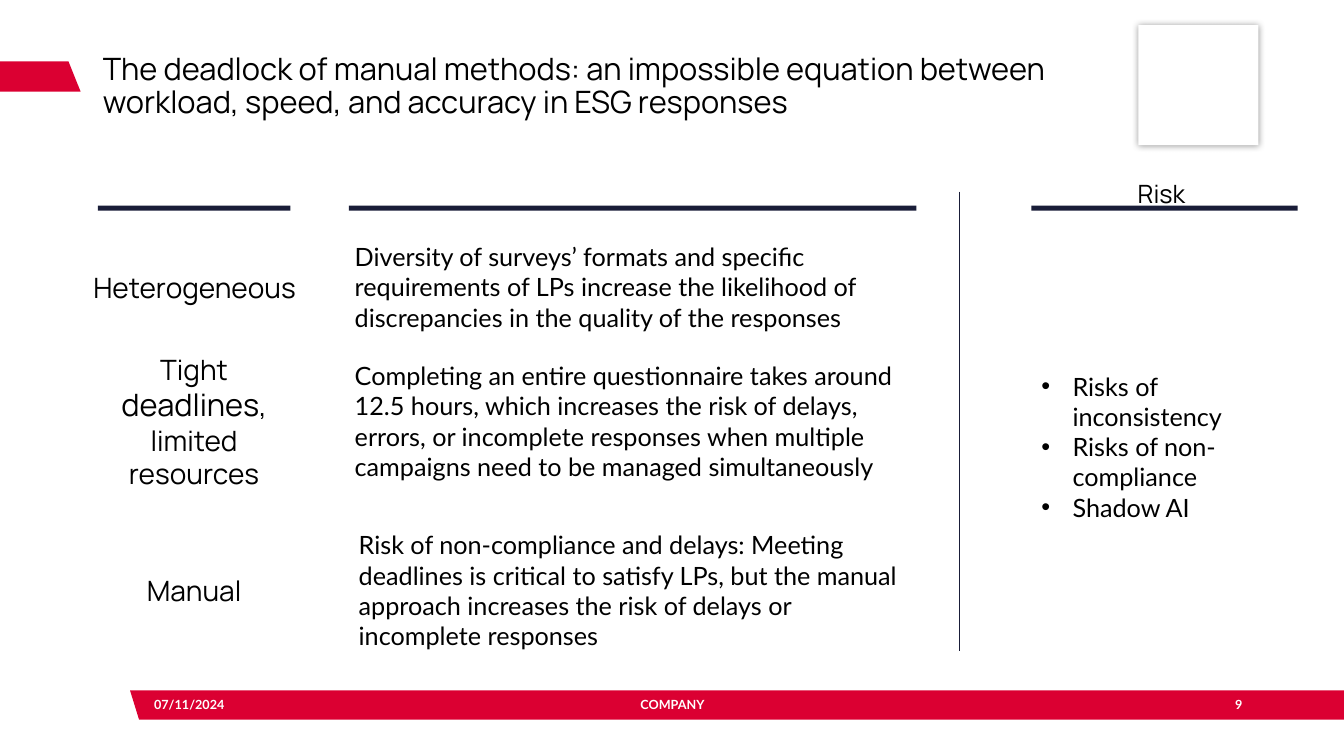
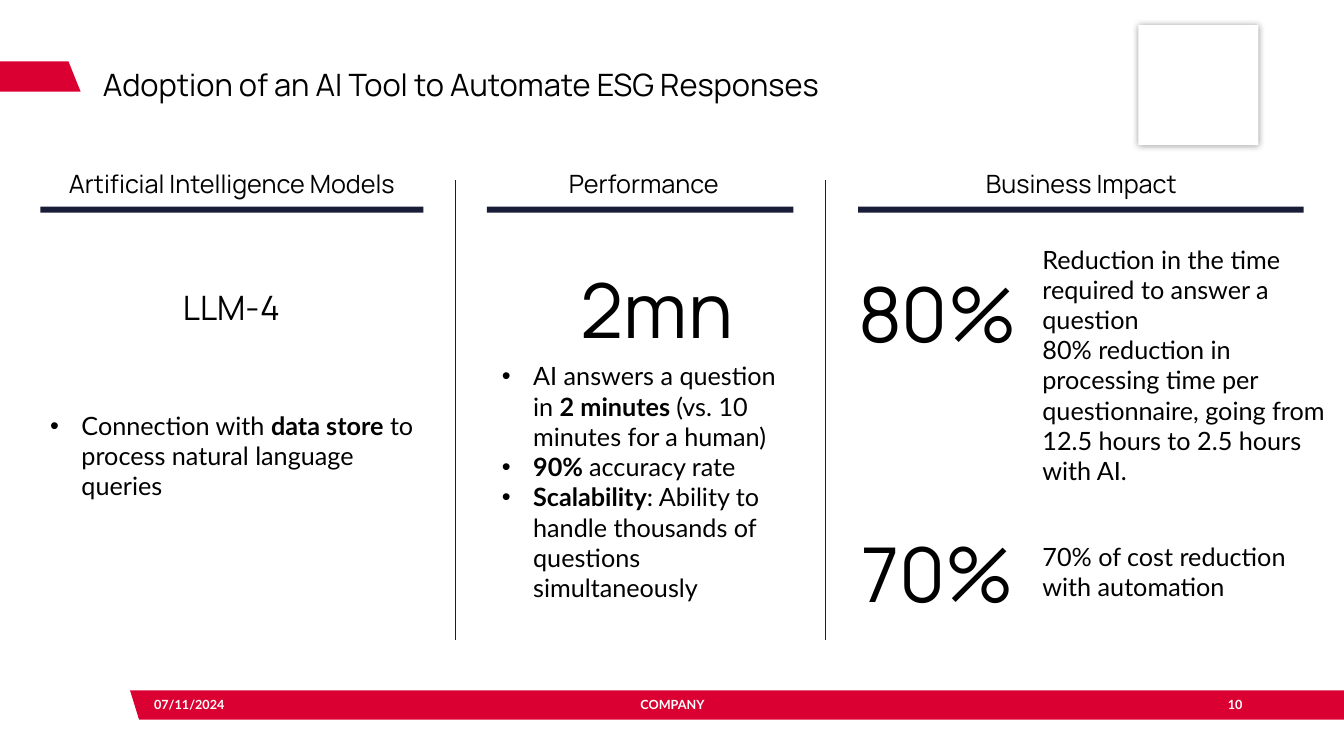
from lxml import etree
from pptx import Presentation
from pptx.dml.color import RGBColor
from pptx.enum.shapes import MSO_CONNECTOR, MSO_SHAPE
from pptx.enum.text import MSO_ANCHOR, MSO_AUTO_SIZE, PP_ALIGN
from pptx.oxml import parse_xml
from pptx.oxml.ns import nsdecls, qn
from pptx.util import Pt

RECTANGLE = MSO_SHAPE.RECTANGLE
STRAIGHT = MSO_CONNECTOR.STRAIGHT
TOP, MIDDLE = MSO_ANCHOR.TOP, MSO_ANCHOR.MIDDLE
LEFT, CENTER, RIGHT = PP_ALIGN.LEFT, PP_ALIGN.CENTER, PP_ALIGN.RIGHT

RED = RGBColor(0xDB, 0x00, 0x32)
NAVY = RGBColor(0x19, 0x1D, 0x38)
BLACK = RGBColor(0x00, 0x00, 0x00)
WHITE = RGBColor(0xFF, 0xFF, 0xFF)

HEADING_FONT, BODY_FONT = "Manrope", "Lato"
PX = 9144
SLIDE_W, SLIDE_H = 1333, 750
BOLD = {"bold": True}

TITLE_BOX = (92, 58, 1026, 56)
TITLE_TAB = [(0, 61), (68, 61), (80, 91), (0, 91)]
FOOTER_BAND = [(129, 685), (SLIDE_W, 685), (SLIDE_W, 714), (138, 714)]
LOGO_BOX = (1129, 25, 119, 119)
FOOTER_Y, FOOTER_H = 679, 40
FOOTER_DATE, FOOTER_COMPANY = "07/11/2024", "COMPANY"

DEADLOCK = {
    "title": "The deadlock of manual methods: an impossible equation between "
             "workload, speed, and accuracy in ESG responses",
    "page": 9,
    "rules": [(97, 191), (346, 563), (1023, 264)],
    "rule_y": 204,
    "rule_h": 5,
    "dividers": [952],
    "divider_y": 190,
    "headings": [("Risk", (1023, 180, 258, 24))],
    "labels": [
        (["Heterogeneous"], (72, 263, 242, 44), 20),
        (["Tight ", ("deadlines", {"size": Pt(22)}), ", limited resources"],
         (97, 344, 191, 148), 20),
        (["Manual"], (97, 564, 191, 44), 20),
    ],
    "bodies": [
        ([["Diversity of surveys’ formats and specific requirements of LPs "
           "increase the likelihood of discrepancies in the quality of the "
           "responses"]], (342, 234, 563, 101), MIDDLE),
        ([["Completing an entire questionnaire takes around 12.5 hours, which "
           "increases the risk of delays, errors, or incomplete responses when "
           "multiple campaigns need to be managed simultaneously"]],
         (342, 352, 563, 131), MIDDLE),
        ([["Risk of non-compliance and delays: Meeting deadlines is critical "
           "to satisfy LPs, but the manual approach increases the risk of "
           "delays or incomplete responses"]], (346, 520, 563, 131), MIDDLE),
    ],
    "bullets": [
        ([["Risks of inconsistency"], ["Risks of non-compliance"],
          ["Shadow AI"]], (1023, 245, 264, 396), MIDDLE),
    ],
}

ADOPTION = {
    "title": "Adoption of an AI Tool to Automate ESG Responses",
    "page": 10,
    "rules": [(40, 380), (483, 304), (851, 442)],
    "rule_y": 205,
    "rule_h": 6,
    "dividers": [452, 819],
    "divider_y": 179,
    "headings": [
        ("Artificial Intelligence Models", (40, 162, 380, 40)),
        ("Performance", (468, 162, 341, 40)),
        ("Business Impact", (902, 162, 341, 40)),
    ],
    "labels": [
        (["LLM-4"], (104, 280, 251, 50), 24),
        (["2mn"], (556, 255, 191, 101), 54),
        (["80%"], (834, 259, 191, 101), 54),
        (["70%"], (834, 517, 191, 101), 54),
    ],
    "bodies": [
        ([["Reduction in the time required to answer a question"],
          ["80% reduction in processing time per questionnaire, going from "
           "12.5 hours to 2.5 hours with AI."]], (1024, 237, 302, 144), TOP),
        ([["70% of cost reduction with automation"]],
         (1024, 519, 302, 96), MIDDLE),
    ],
    "bullets": [
        ([["Connection with ", ("data store", BOLD),
           " to process natural language queries"]],
         (40, 402, 380, 255), TOP),
        ([["AI answers a question in ", ("2 minutes ", BOLD),
           "(vs. 10 minutes for a human)"],
          [("90% ", BOLD), "accuracy rate"],
          [("Scalability", BOLD),
           ": Ability to handle thousands of questions simultaneously"]],
         (488, 353, 304, 284), TOP),
    ],
}

DIVIDER_H = 456
BULLET_INDENT = 31


def emu(box):
    return [value * PX for value in box]


def style(paragraph, font_name, size, color, align, bold=False):
    paragraph.alignment = align
    font = paragraph.font
    font.name, font.size, font.bold = font_name, Pt(size), bold
    font.color.rgb = color


def add_bullet(paragraph):
    properties = paragraph._p.get_or_add_pPr()
    properties.set("marL", str(BULLET_INDENT * PX))
    properties.set("indent", str(-BULLET_INDENT * PX))
    etree.SubElement(properties, qn("a:buFont"), typeface="Arial")
    etree.SubElement(properties, qn("a:buChar"), char="•")


def add_text(slide, paragraphs, box, size, font_name=BODY_FONT, color=BLACK,
             align=LEFT, anchor=MIDDLE, bold=False, bulleted=False):
    frame = slide.shapes.add_textbox(*emu(box)).text_frame
    frame.word_wrap = True
    frame.vertical_anchor = anchor
    for index, runs in enumerate(paragraphs):
        paragraph = frame.add_paragraph() if index else frame.paragraphs[0]
        if bulleted:
            add_bullet(paragraph)
        style(paragraph, font_name, size, color, align, bold)
        for piece in runs:
            words, changes = (piece, {}) if isinstance(piece, str) else piece
            run = paragraph.add_run()
            run.text = words
            for attribute, value in changes.items():
                setattr(run.font, attribute, value)


def paint(shape, color):
    shape.shadow.inherit = False
    shape.fill.solid()
    shape.fill.fore_color.rgb = color
    shape.line.fill.background()


def add_outline(slide, points):
    builder = slide.shapes.build_freeform(*points[0], scale=PX)
    builder.add_line_segments(points[1:], close=True)
    paint(builder.convert_to_shape(), RED)


def add_rectangle(slide, box, color):
    rectangle = slide.shapes.add_shape(RECTANGLE, *emu(box))
    paint(rectangle, color)
    return rectangle


def add_divider(slide, x, y):
    divider = slide.shapes.add_connector(
        STRAIGHT, *emu((x, y, x, y + DIVIDER_H)))
    divider.line.color.rgb = NAVY
    divider.line.width = Pt(0.5)
    etree.SubElement(divider._element.spPr, qn("a:effectLst"))


def add_frame(slide, title, page):
    add_outline(slide, TITLE_TAB)
    add_outline(slide, FOOTER_BAND)
    logo = add_rectangle(slide, LOGO_BOX, WHITE)
    logo._element.spPr.find(qn("a:effectLst")).append(parse_xml(
        f'<a:outerShdw {nsdecls("a")} blurRad="{Pt(5)}" dist="0">'
        '<a:srgbClr val="000000"><a:alpha val="40000"/></a:srgbClr>'
        '</a:outerShdw>'))

    heading = slide.shapes.title
    heading.left, heading.top, heading.width, heading.height = emu(TITLE_BOX)
    frame = heading.text_frame
    frame.text = title
    frame.auto_size = MSO_AUTO_SIZE.NONE
    frame.vertical_anchor = MIDDLE
    frame.paragraphs[0].line_spacing = 0.9
    style(frame.paragraphs[0], HEADING_FONT, 22, BLACK, LEFT)

    for words, x, width, align in [(FOOTER_DATE, 143, 145, LEFT),
                                   (FOOTER_COMPANY, 417, 500, CENTER),
                                   (str(page), 1163, 79, RIGHT)]:
        add_text(slide, [[words]], (x, FOOTER_Y, width, FOOTER_H), 9,
                 color=WHITE, align=align, bold=True)


def build_slide(deck, content):
    slide = deck.slides.add_slide(deck.slide_layouts[5])
    add_frame(slide, content["title"], content["page"])
    for x, width in content["rules"]:
        add_rectangle(
            slide, (x, content["rule_y"], width, content["rule_h"]), NAVY)
    for x in content["dividers"]:
        add_divider(slide, x, content["divider_y"])
    for words, box in content["headings"]:
        add_text(slide, [[words]], box, 18, HEADING_FONT, align=CENTER)
    for runs, box, size in content["labels"]:
        add_text(slide, [runs], box, size, HEADING_FONT, align=CENTER)
    for kind in ("bodies", "bullets"):
        for paragraphs, box, anchor in content[kind]:
            add_text(slide, paragraphs, box, 18, anchor=anchor,
                     bulleted=kind == "bullets")


def main():
    deck = Presentation()
    deck.slide_width, deck.slide_height = emu((SLIDE_W, SLIDE_H))
    for content in (DEADLOCK, ADOPTION):
        build_slide(deck, content)
    deck.save("out.pptx")


if __name__ == "__main__":
    main()
